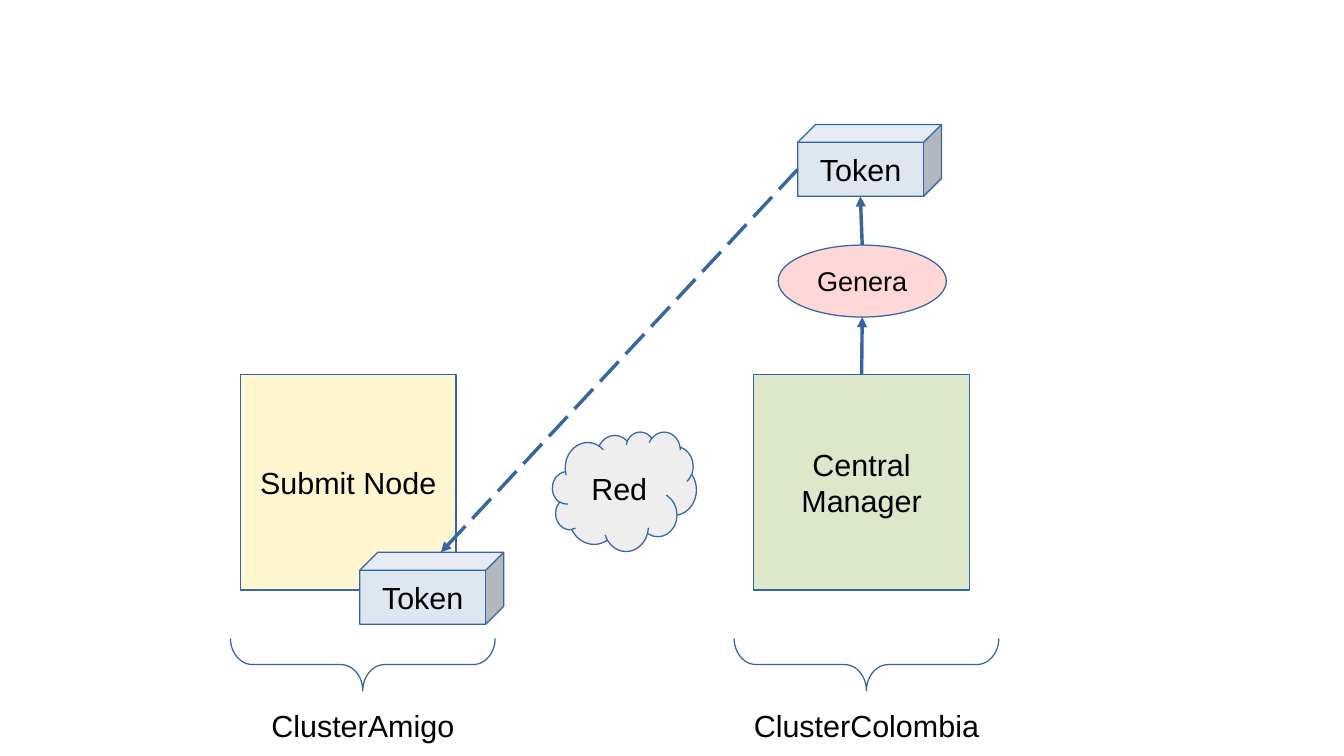
from lxml.etree import SubElement
from pptx import Presentation
from pptx.dml.color import RGBColor
from pptx.enum.dml import MSO_LINE
from pptx.enum.shapes import MSO_CONNECTOR, MSO_SHAPE
from pptx.enum.text import MSO_ANCHOR, MSO_AUTO_SIZE, PP_ALIGN
from pptx.oxml.ns import qn
from pptx.util import Inches, Pt

COLORS = {
    "line": "3465A4", "text": "000000", "submit": "FFF5CE", "manager": "DDE8CB",
    "genera": "FFD7D7", "token": "DEE6EF", "cloud": "EEEEEE",
}
FONT = "Arial"
NODE = 1.77
TOKEN_W, TOKEN_H, TOKEN_DEPTH = 1.18, 0.59, 0.15
BRACE_W, BRACE_H = 2.17, 0.43


def rgb(name):
    """Return the named colour."""
    return RGBColor.from_string(COLORS[name])


def write(tf, text, size=18):
    """Put one centred paragraph in a text frame."""
    tf.text = text
    p = tf.paragraphs[0]
    p.alignment = PP_ALIGN.CENTER
    font = p.runs[0].font
    font.name, font.size = FONT, Pt(size)
    font.color.rgb = rgb("text")


def add_box(s, kind, x, y, w, h, fill=None, text=None, size=18):
    """Add an outlined shape with optional fill and text."""
    sp = s.shapes.add_shape(kind, Inches(x), Inches(y), Inches(w), Inches(h))
    sp.shadow.inherit = False
    sp.line.color.rgb = rgb("line")
    sp.line.width = Pt(0)
    if fill:
        sp.fill.solid()
        sp.fill.fore_color.rgb = rgb(fill)
    else:
        sp.fill.background()
    if text:
        sp.text_frame.word_wrap = True
        sp.text_frame.vertical_anchor = MSO_ANCHOR.MIDDLE
        write(sp.text_frame, text, size)
    return sp


def add_token(s, x, y):
    """Add a token cube."""
    return add_box(s, MSO_SHAPE.CUBE, x, y, TOKEN_W, TOKEN_H, "token", "Token")


def add_arrow(s, x1, y1, x2, y2, dashed=False):
    """Add a thin arrow between two points."""
    c = s.shapes.add_connector(MSO_CONNECTOR.STRAIGHT, Inches(x1), Inches(y1),
                               Inches(x2), Inches(y2))
    c.line.color.rgb = rgb("line")
    c.line.width = Pt(0)
    if dashed:
        c.line.dash_style = MSO_LINE.LONG_DASH
    SubElement(c.line._get_or_add_ln(), qn("a:tailEnd"), type="triangle")
    SubElement(c._element.spPr, qn("a:effectLst"))
    return c


def add_cluster(s, x, y, indent, node_text, fill, label):
    """Add a node with a brace and a cluster name below it."""
    node = add_box(s, MSO_SHAPE.RECTANGLE, x + indent, y, NODE, NODE, fill, node_text)
    mid_x, mid_y = x + BRACE_W / 2, y + 2.38
    brace = add_box(s, MSO_SHAPE.LEFT_BRACE, mid_x - BRACE_H / 2, mid_y - BRACE_W / 2,
                    BRACE_H, BRACE_W)
    brace.rotation = 270
    brace.adjustments[0] = 0.42
    tb = s.shapes.add_textbox(Inches(x), Inches(y + 2.68), Inches(BRACE_W), Inches(0.38))
    tb.text_frame.word_wrap = False
    tb.text_frame.auto_size = MSO_AUTO_SIZE.SHAPE_TO_FIT_TEXT
    write(tb.text_frame, label)
    return node


def add_generation(s, x, y, manager):
    """Add the token, the step that generates it and the arrows from the manager."""
    add_token(s, x + 0.16, y)
    genera = add_box(s, MSO_SHAPE.OVAL, x, y + 0.99, 1.38, 0.59, "genera", "Genera", 16)
    mid = x + 0.69
    up = add_arrow(s, mid, y + 2.05, mid, y + 1.58)
    up.begin_connect(manager, 0)
    out = add_arrow(s, mid, y + 0.99, x + 0.16 + (TOKEN_W - TOKEN_DEPTH) / 2, y + TOKEN_H)
    out.begin_connect(genera, 0)


def add_transfer(s, x, y, w, h):
    """Add the network cloud, the received token and the dashed arrow to it."""
    add_box(s, MSO_SHAPE.CLOUD, x + 1.58, y + 2.52, 1.18, 0.98, "cloud", "Red")
    add_token(s, x, y + h)
    add_arrow(s, x + w, y + (TOKEN_H + TOKEN_DEPTH) / 2,
              x + (TOKEN_W + TOKEN_DEPTH) / 2, y + h, dashed=True)


def main():
    """Build the slide and save it."""
    prs = Presentation()
    prs.slide_width, prs.slide_height = Inches(11.02), Inches(6.2)
    s = prs.slides.add_slide(prs.slide_layouts[6])
    add_cluster(s, 1.89, 3.07, 0.08, "Submit Node", "submit", "ClusterAmigo")
    manager = add_cluster(s, 6.02, 3.07, 0.16, "Central Manager", "manager",
                          "ClusterColombia")
    add_generation(s, 6.38, 1.02, manager)
    add_transfer(s, 2.95, 1.02, 3.59, 3.51)
    prs.save("out.pptx")


if __name__ == "__main__":
    main()
